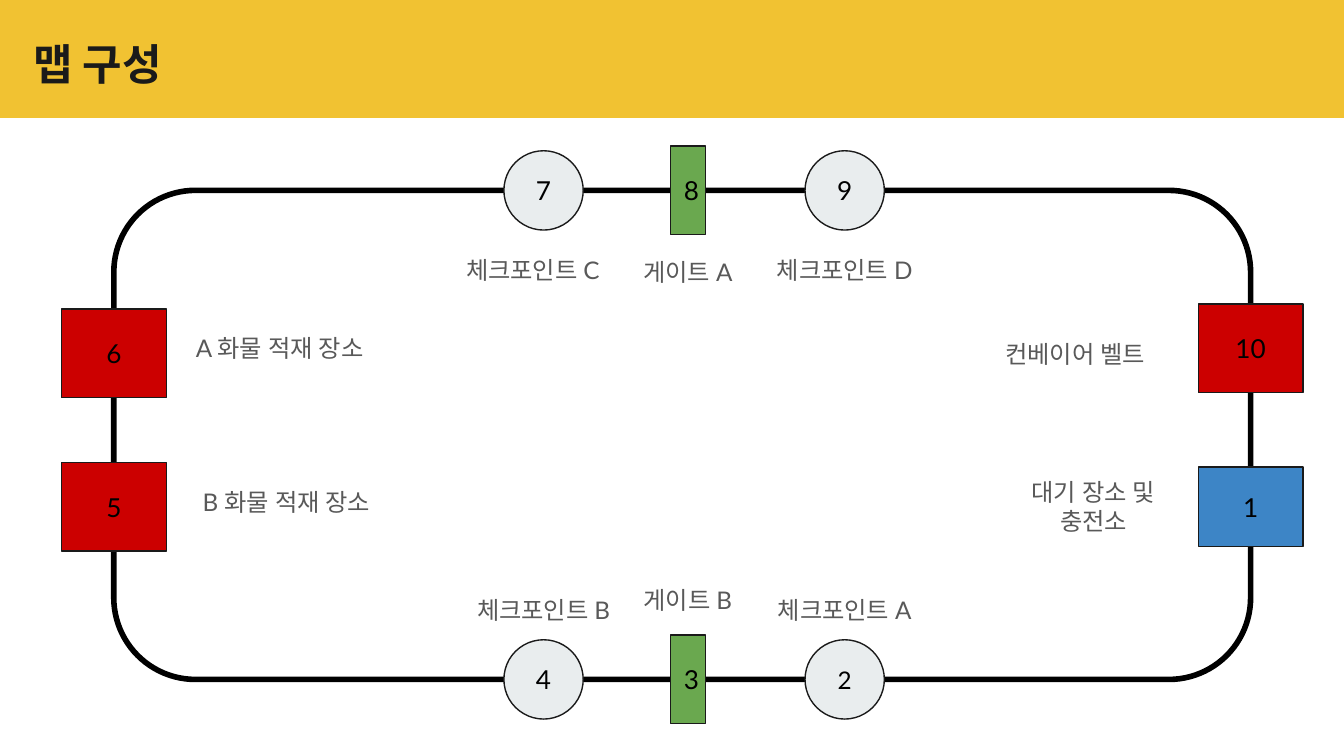
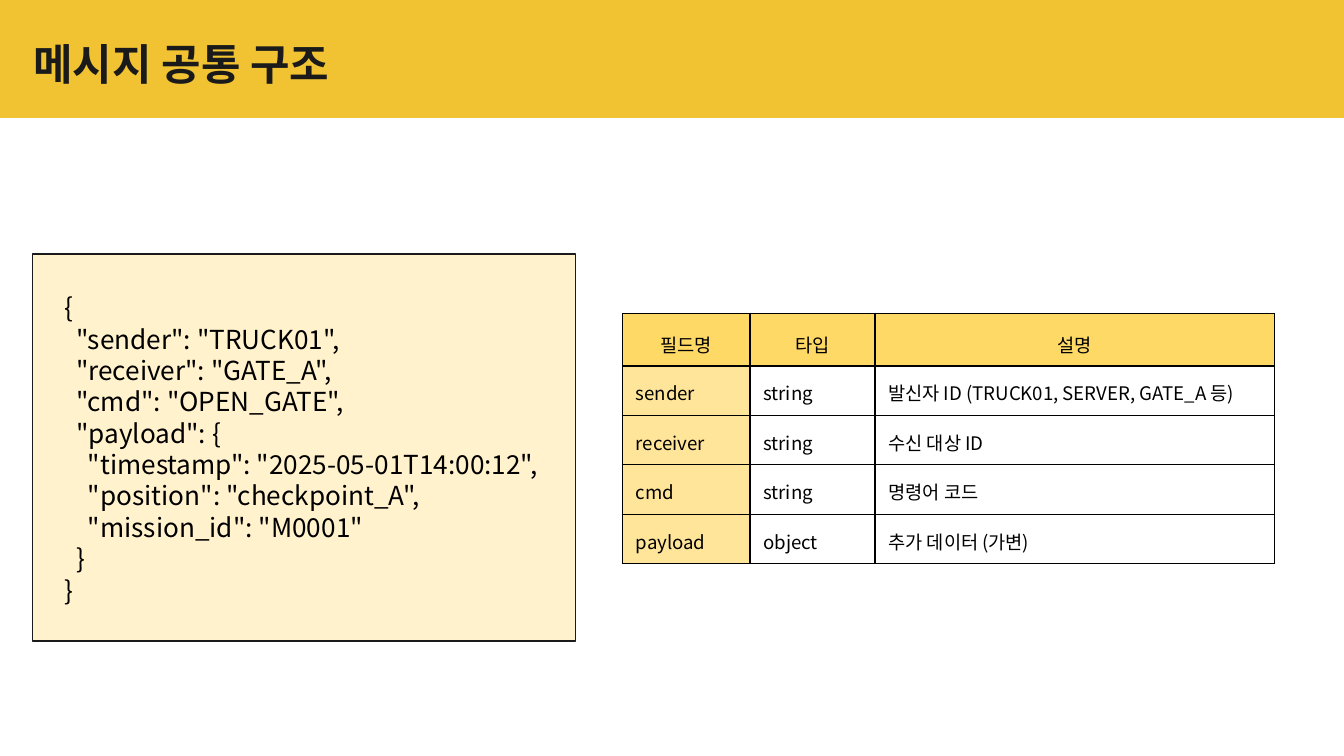
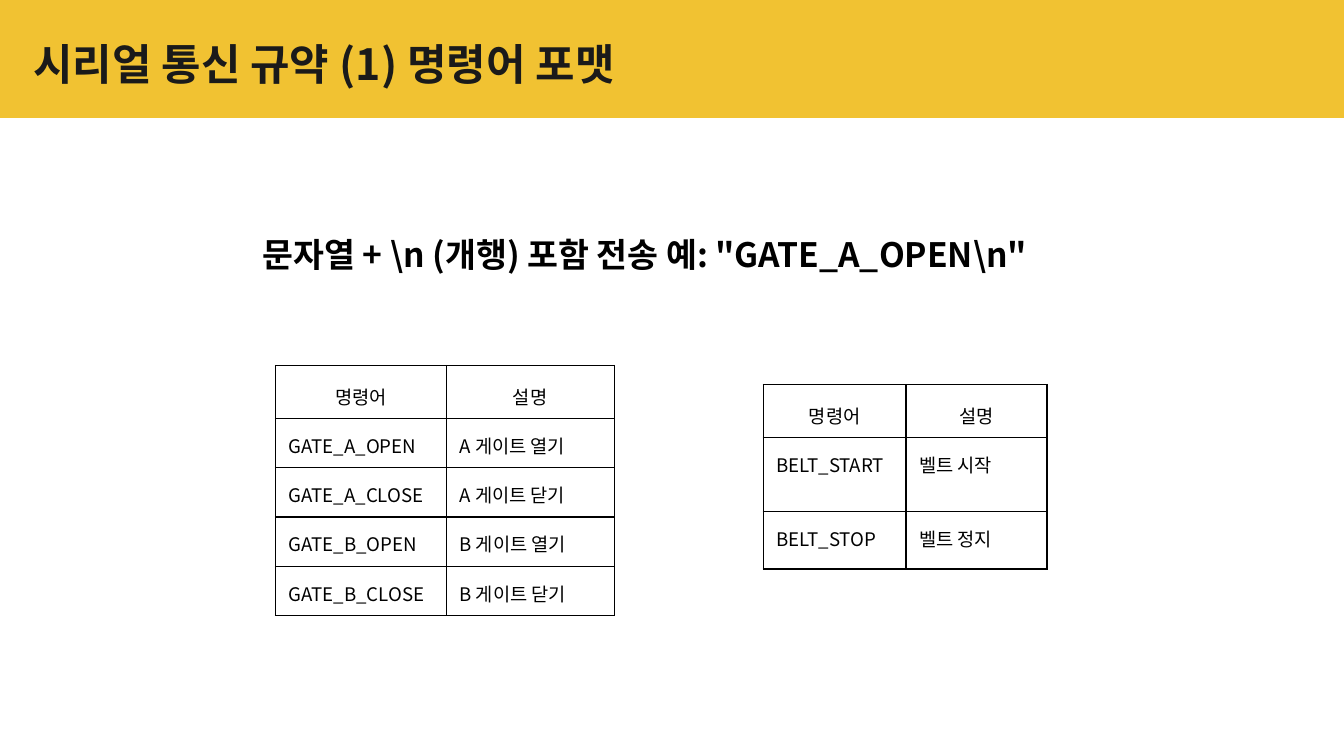
from dataclasses import dataclass

from lxml import etree
from pptx import Presentation
from pptx.dml.color import RGBColor
from pptx.enum.shapes import MSO_SHAPE
from pptx.enum.text import MSO_ANCHOR, MSO_AUTO_SIZE, PP_ALIGN
from pptx.oxml.ns import qn
from pptx.presentation import Presentation as Deck
from pptx.shapes.autoshape import Shape
from pptx.slide import Slide
from pptx.table import _Cell
from pptx.text.text import TextFrame, _Paragraph
from pptx.util import Pt

RECTANGLE = MSO_SHAPE.RECTANGLE
ROUNDED = MSO_SHAPE.ROUNDED_RECTANGLE
ELLIPSE = MSO_SHAPE.OVAL
LEFT, CENTER = PP_ALIGN.LEFT, PP_ALIGN.CENTER
TOP, MIDDLE = MSO_ANCHOR.TOP, MSO_ANCHOR.MIDDLE
FIT_TEXT = MSO_AUTO_SIZE.SHAPE_TO_FIT_TEXT


@dataclass(frozen=True)
class Theme:
    band: str = "F1C232"
    ink: str = "1A1A1A"
    black: str = "000000"
    label: str = "595959"
    gate: str = "6AA84F"
    dock: str = "CC0000"
    charger: str = "3D85C6"
    checkpoint: str = "E9EDEE"
    code_panel: str = "FFF2CC"
    header: str = "FFD966"
    field: str = "FFE599"
    korean_font: str = "Noto Sans CJK KR"
    map_font: str = "Lato"
    title_size: float = 23
    lead_size: float = 18
    body_size: float = 14
    label_size: float = 13
    table_size: float = 10
    thin: float = 0.75
    thick: float = 3
    inset: float = 7.2


THEME = Theme()


@dataclass(frozen=True)
class Style:
    size: float
    font: str = THEME.korean_font
    color: str = THEME.black
    bold: bool = False
    align: PP_ALIGN = LEFT
    spacing: float | None = None


TITLE = Style(THEME.title_size, color=THEME.ink, bold=True)
LEAD = Style(THEME.lead_size, bold=True)
CODE = Style(THEME.body_size)
NUMBER = Style(THEME.body_size, THEME.map_font, align=CENTER)
SMALL_NUMBER = Style(THEME.label_size, THEME.map_font, align=CENTER)
LABEL = Style(THEME.label_size, THEME.map_font, THEME.label, align=CENTER)
CELL = Style(THEME.table_size)
HEADER_CELL = Style(THEME.table_size, align=CENTER, spacing=1.15)


@dataclass(frozen=True)
class Area:
    left: float
    top: float
    width: float
    height: float

    @classmethod
    def around(cls, x: float, y: float, width: float, height: float) -> "Area":
        return cls(x - width / 2, y - height / 2, width, height)

    def lengths(self) -> tuple[Pt, Pt, Pt, Pt]:
        return Pt(self.left), Pt(self.top), Pt(self.width), Pt(self.height)


@dataclass(frozen=True)
class Kind:
    preset: MSO_SHAPE
    width: float
    height: float
    fill: str


@dataclass(frozen=True)
class Station:
    number: str
    kind: Kind
    x: float
    y: float
    style: Style = NUMBER


@dataclass(frozen=True)
class Label:
    text: str
    x: float
    y: float
    width: float
    height: float = 23


@dataclass(frozen=True)
class Grid:
    left: float
    top: float
    columns: tuple[float, ...]
    heights: tuple[float, ...]
    rows: tuple[tuple[str, ...], ...]
    header_fill: str | None = None
    field_fill: str | None = None


TRACK = Area(61, 102, 609, 262)
TRACK_RIGHT = TRACK.left + TRACK.width
TRACK_BOTTOM = TRACK.top + TRACK.height
CHECK_LEFT, GATE_X, CHECK_RIGHT = 291.2, 368.6, 452.5
UPPER_Y, LOWER_Y = 189.4, 271.4

GATE = Kind(RECTANGLE, 18.7, 47.5, THEME.gate)
DOCK = Kind(RECTANGLE, 56.2, 47.5, THEME.dock)
CHARGER = Kind(RECTANGLE, 56.2, 42.5, THEME.charger)
CHECKPOINT = Kind(ELLIPSE, 42.5, 42.5, THEME.checkpoint)

STATIONS = (
    Station("8", GATE, GATE_X, TRACK.top),
    Station("3", GATE, GATE_X, TRACK_BOTTOM),
    Station("6", DOCK, TRACK.left, UPPER_Y),
    Station("7", CHECKPOINT, CHECK_LEFT, TRACK.top),
    Station("10", DOCK, TRACK_RIGHT, UPPER_Y - 2.8),
    Station("5", DOCK, TRACK.left, LOWER_Y),
    Station("1", CHARGER, TRACK_RIGHT, LOWER_Y),
    Station("9", CHECKPOINT, CHECK_RIGHT, TRACK.top),
    Station("4", CHECKPOINT, CHECK_LEFT, TRACK_BOTTOM),
    Station("2", CHECKPOINT, CHECK_RIGHT, TRACK_BOTTOM, SMALL_NUMBER),
)

LABELS = (
    Label("게이트 B", GATE_X, 321.1, 67.7),
    Label("게이트 A", GATE_X, 145.4, 67.7),
    Label("A 화물 적재 장소", 149.8, 186.5, 108),
    Label("컨베이어 벨트", 576, 189.4, 95),
    Label("체크포인트 A", CHECK_RIGHT, 326.9, 87.1, 26),
    Label("체크포인트 B", CHECK_LEFT, 326.9, 87.1, 26),
    Label("체크포인트 C", 285.5, 144.7, 87.1, 26),
    Label("체크포인트 D", CHECK_RIGHT, 144.7, 87.1, 26),
    Label("B 화물 적재 장소", 153.4, 268.6, 115.2),
    Label("대기 장소 및 충전소", 585.7, 271.4, 87.1, 26),
)

MESSAGE = """{
  "sender": "TRUCK01",
  "receiver": "GATE_A",
  "cmd": "OPEN_GATE",
  "payload": {
    "timestamp": "2025-05-01T14:00:12",
    "position": "checkpoint_A",
    "mission_id": "M0001"
  }
}"""

FIELDS = Grid(
    333.4, 167.8, (68.4, 67, 213.8), (28,) + (26.5,) * 4,
    (
        ("필드명", "타입", "설명"),
        ("sender", "string", "발신자 ID (TRUCK01, SERVER, GATE_A 등)"),
        ("receiver", "string", "수신 대상 ID"),
        ("cmd", "string", "명령어 코드"),
        ("payload", "object", "추가 데이터 (가변)"),
    ),
    THEME.header, THEME.field,
)
GATE_COMMANDS = Grid(
    147.6, 195.8, (91.4, 90), (28,) + (26.5,) * 4,
    (
        ("명령어", "설명"),
        ("GATE_A_OPEN", "A 게이트 열기"),
        ("GATE_A_CLOSE", "A 게이트 닫기"),
        ("GATE_B_OPEN", "B 게이트 열기"),
        ("GATE_B_CLOSE", "B 게이트 닫기"),
    ),
)
BELT_COMMANDS = Grid(
    408.9, 206, (76.5, 75.5), (28, 39.6, 31),
    (
        ("명령어", "설명"),
        ("BELT_START", "벨트 시작"),
        ("BELT_STOP", "벨트 정지"),
    ),
)


def rgb(color: str) -> RGBColor:
    return RGBColor.from_string(color)


def write_para(para: _Paragraph, text: str, style: Style) -> None:
    para.alignment = style.align
    if style.spacing:
        para.line_spacing = style.spacing
    span = para.add_run()
    span.text = text
    span.font.size = Pt(style.size)
    span.font.bold = style.bold
    span.font.color.rgb = rgb(style.color)
    span.font.name = style.font
    east_asian = etree.SubElement(span.font._element, qn("a:ea"))
    east_asian.set("typeface", style.font)


def write_text(frame: TextFrame, text: str, style: Style, anchor: MSO_ANCHOR) -> None:
    frame.word_wrap = True
    frame.vertical_anchor = anchor
    frame.margin_left = frame.margin_right = Pt(THEME.inset)
    frame.margin_top = frame.margin_bottom = Pt(THEME.inset)
    for index, line in enumerate(text.split("\n")):
        para = frame.add_paragraph() if index else frame.paragraphs[0]
        write_para(para, line, style)


def add_text(page: Slide, area: Area, text: str, style: Style,
             anchor: MSO_ANCHOR = TOP, grow: bool = False) -> None:
    box = page.shapes.add_textbox(*area.lengths())
    write_text(box.text_frame, text, style, anchor)
    if grow:
        box.text_frame.auto_size = FIT_TEXT


def add_box(page: Slide, preset: MSO_SHAPE, area: Area, fill: str | None,
            line: str | None = THEME.ink, weight: float = THEME.thin) -> Shape:
    box = page.shapes.add_shape(preset, *area.lengths())
    box.shadow.inherit = False
    if fill:
        box.fill.solid()
        box.fill.fore_color.rgb = rgb(fill)
    else:
        box.fill.background()
    if line:
        box.line.color.rgb = rgb(line)
        box.line.width = Pt(weight)
    else:
        box.line.fill.background()
    return box


def add_station(page: Slide, station: Station) -> None:
    kind = station.kind
    area = Area.around(station.x, station.y, kind.width, kind.height)
    box = add_box(page, kind.preset, area, kind.fill)
    write_text(box.text_frame, station.number, station.style, MIDDLE)


def add_label(page: Slide, label: Label) -> None:
    area = Area.around(label.x, label.y, label.width, label.height)
    add_text(page, area, label.text, LABEL, MIDDLE)


def add_borders(cell: _Cell) -> None:
    properties = cell._tc.get_or_add_tcPr()
    for side in ("a:lnL", "a:lnR", "a:lnT", "a:lnB"):
        border = etree.SubElement(properties, qn(side), w=str(Pt(THEME.thin)))
        fill = etree.SubElement(border, qn("a:solidFill"))
        etree.SubElement(fill, qn("a:srgbClr"), val=THEME.black)


def fill_cell(cell: _Cell, text: str, style: Style, fill: str | None) -> None:
    cell.margin_left = cell.margin_right = Pt(THEME.inset)
    cell.margin_top = cell.margin_bottom = Pt(THEME.inset)
    write_para(cell.text_frame.paragraphs[0], text, style)
    add_borders(cell)
    if fill:
        cell.fill.solid()
        cell.fill.fore_color.rgb = rgb(fill)
    else:
        cell.fill.background()


def add_grid(page: Slide, grid: Grid) -> None:
    area = Area(grid.left, grid.top, sum(grid.columns), sum(grid.heights))
    table = page.shapes.add_table(
        len(grid.heights), len(grid.columns), *area.lengths()).table
    table.first_row = table.horz_banding = False
    for column, width in zip(table.columns, grid.columns):
        column.width = Pt(width)
    for row, height in zip(table.rows, grid.heights):
        row.height = Pt(height)
    for row_index, texts in enumerate(grid.rows):
        for column_index, text in enumerate(texts):
            style, fill = CELL, None
            if row_index == 0:
                style, fill = HEADER_CELL, grid.header_fill
            elif column_index == 0:
                fill = grid.field_fill
            fill_cell(table.cell(row_index, column_index), text, style, fill)


def add_page(deck: Deck, title: str) -> Slide:
    page = deck.slides.add_slide(deck.slide_layouts[6])
    add_box(page, RECTANGLE, Area(0, 0, 720, 63.2), THEME.band, None)
    add_text(page, Area(10.8, 13, 605.5, 42.5), title, TITLE)
    return page


def build_map(deck: Deck) -> None:
    page = add_page(deck, "맵 구성")
    track = add_box(page, ROUNDED, TRACK, None, THEME.black, THEME.thick)
    track.adjustments[0] = 0.167
    for station in STATIONS:
        add_station(page, station)
    for label in LABELS:
        add_label(page, label)


def build_message(deck: Deck) -> None:
    page = add_page(deck, "메시지 공통 구조")
    add_box(page, RECTANGLE, Area(17.3, 136.2, 291, 207.2), THEME.code_panel)
    add_text(page, Area(27.4, 149, 286.6, 201), MESSAGE, CODE, grow=True)
    add_grid(page, FIELDS)


def build_commands(deck: Deck) -> None:
    page = add_page(deck, "시리얼 통신 규약 (1) 명령어 포맷")
    add_text(page, Area(133.6, 118.1, 499.7, 36),
             '문자열 + \\n (개행) 포함 전송 예: "GATE_A_OPEN\\n"', LEAD, grow=True)
    add_grid(page, GATE_COMMANDS)
    add_grid(page, BELT_COMMANDS)


def main() -> None:
    deck = Presentation()
    deck.slide_width, deck.slide_height = Pt(720), Pt(405)
    build_map(deck)
    build_message(deck)
    build_commands(deck)
    deck.save("out.pptx")


if __name__ == "__main__":
    main()
